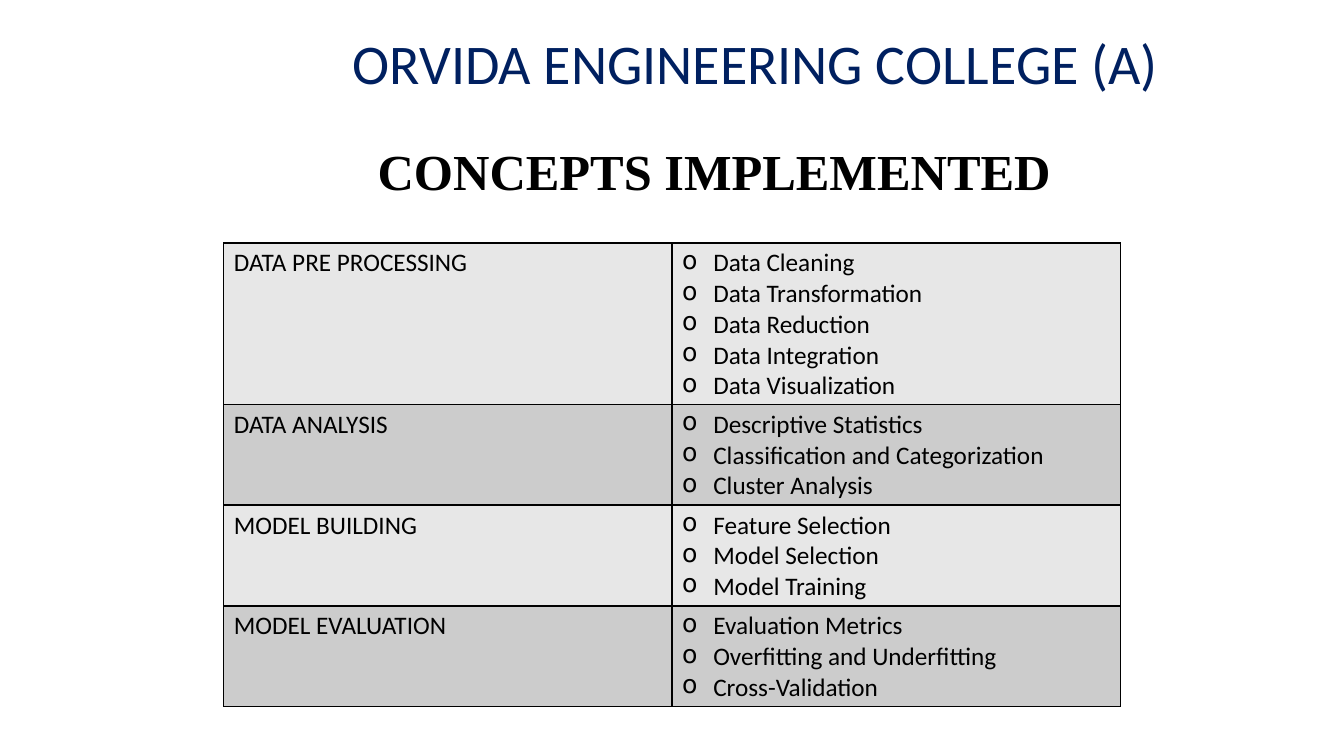
from dataclasses import dataclass

from lxml import etree
from pptx import Presentation
from pptx.dml.color import RGBColor
from pptx.enum import text
from pptx.oxml import ns
from pptx.util import Inches, Pt


@dataclass(frozen=True)
class Theme:
    navy: str = "002060"
    black: str = "000000"
    bands: tuple = ("E7E7E7", "CCCCCC")
    body_font: str = "Calibri"
    heading_font: str = "Times New Roman"
    banner_size: int = 40
    heading_size: int = 36
    body_size: int = 18
    border: float = 1


THEME = Theme()

CONCEPTS = {
    "DATA PRE PROCESSING": [
        "Data Cleaning", "Data Transformation", "Data Reduction",
        "Data Integration", "Data Visualization"],
    "DATA ANALYSIS": [
        "Descriptive Statistics", "Classification and Categorization",
        "Cluster Analysis"],
    "MODEL BUILDING": [
        "Feature Selection", "Model Selection", "Model Training"],
    "MODEL EVALUATION": [
        "Evaluation Metrics", "Overfitting and Underfitting",
        "Cross-Validation"],
}


def add_span(para, words, font, size, color, bold=False):
    span = para.add_run()
    span.text = words
    span.font.name = font
    span.font.size = Pt(size)
    span.font.bold = bold
    span.font.color.rgb = RGBColor.from_string(color)


def add_title(page, box, words, **style):
    frame = page.shapes.add_textbox(*map(Inches, box)).text_frame
    frame.word_wrap = True
    frame.vertical_anchor = text.MSO_ANCHOR.BOTTOM
    para = frame.paragraphs[0]
    para.alignment = text.PP_ALIGN.CENTER
    para.line_spacing = 0.9
    add_span(para, words, **style)


def add_bullet(para):
    """Give the paragraph a hanging "o" bullet."""
    indent = Inches(0.31)
    properties = para._p.get_or_add_pPr()
    properties.set("marL", str(indent))
    properties.set("indent", str(-indent))
    etree.SubElement(properties, ns.qn("a:buChar")).set("char", "o")


def style_cell(cell, color):
    """Draw all four borders, then fill the cell."""
    properties = cell._tc.get_or_add_tcPr()
    for side in ("lnL", "lnR", "lnT", "lnB"):
        line = etree.SubElement(properties, ns.qn(f"a:{side}"))
        line.set("w", str(Pt(THEME.border)))
        fill = etree.SubElement(line, ns.qn("a:solidFill"))
        etree.SubElement(fill, ns.qn("a:srgbClr")).set("val", THEME.black)
    cell.fill.solid()
    cell.fill.fore_color.rgb = RGBColor.from_string(color)


def fill_cell(cell, lines, color, bulleted=False):
    style_cell(cell, color)
    frame = cell.text_frame
    for index, words in enumerate(lines):
        para = frame.add_paragraph() if index else frame.paragraphs[0]
        if bulleted:
            add_bullet(para)
        add_span(para, words, THEME.body_font, THEME.body_size, THEME.black)


def add_concept_table(page, box, concepts):
    """Place one row per concept, each as tall as its list of topics."""
    line_height, margins = 0.3, 0.1
    table = page.shapes.add_table(len(concepts), 2, *map(Inches, box)).table
    table.first_row = table.horz_banding = False
    for index, (concept, topics) in enumerate(concepts.items()):
        table.rows[index].height = Inches(margins + line_height * len(topics))
        color = THEME.bands[index % len(THEME.bands)]
        fill_cell(table.cell(index, 0), [concept], color)
        fill_cell(table.cell(index, 1), topics, color, bulleted=True)


def add_concepts_page(deck):
    page = deck.slides.add_slide(deck.slide_layouts[6])
    add_title(page, (1.98, 0.31, 11.02, 0.7), "ORVIDA ENGINEERING COLLEGE (A)",
              font=THEME.body_font, size=THEME.banner_size, color=THEME.navy)
    add_title(page, (3.36, 1.31, 7.45, 0.74), "CONCEPTS IMPLEMENTED",
              font=THEME.heading_font, size=THEME.heading_size,
              color=THEME.black, bold=True)
    add_concept_table(page, (2.22, 2.41, 8.89, 4.6), CONCEPTS)


def main():
    deck = Presentation()
    deck.slide_width, deck.slide_height = Inches(13.33), Inches(7.5)
    add_concepts_page(deck)
    deck.save("out.pptx")


if __name__ == "__main__":
    main()
